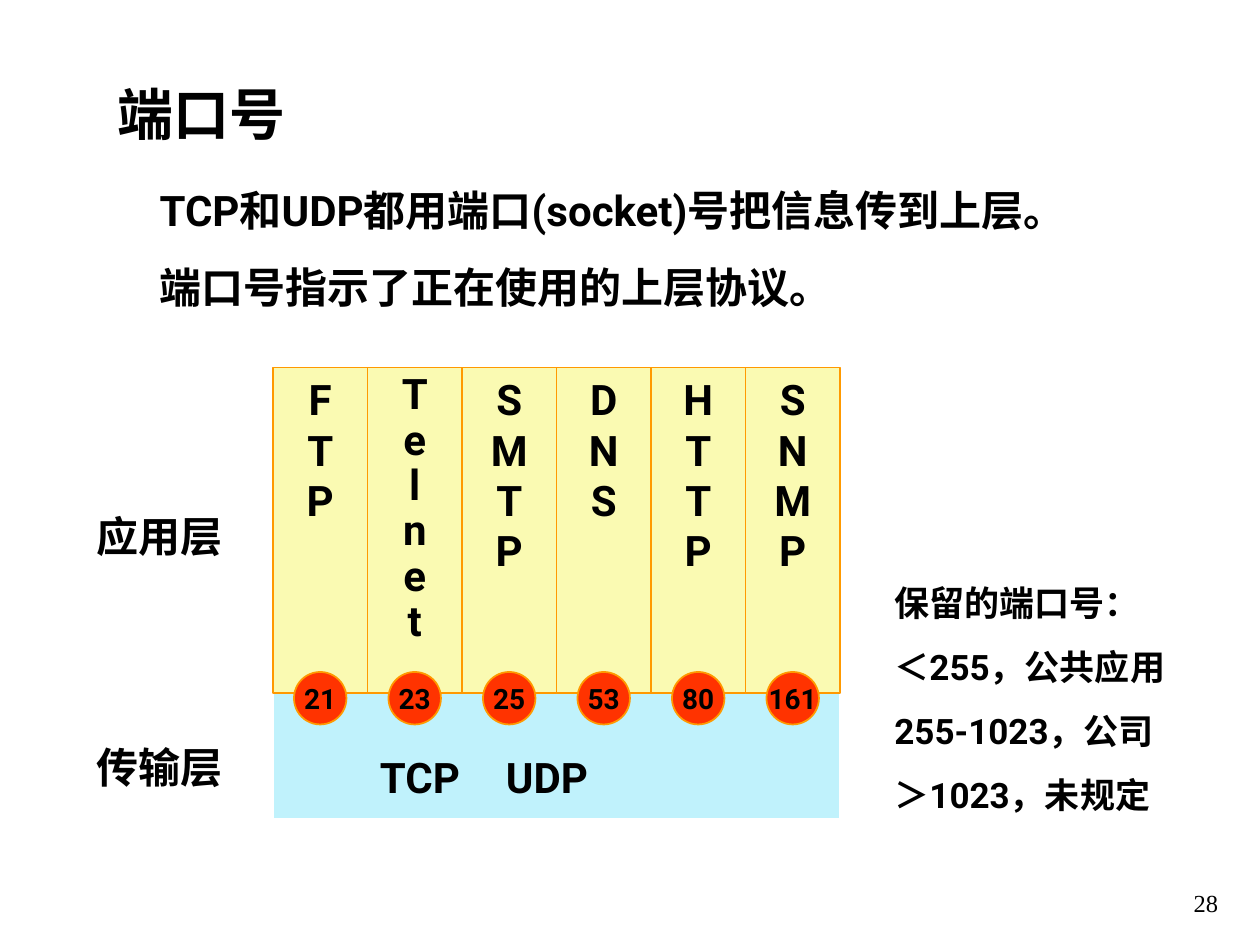
import dataclasses

import pptx
import pptx.dml.color
import pptx.enum.shapes
import pptx.enum.text
import pptx.oxml
import pptx.oxml.ns
import pptx.util

ALIGN = pptx.enum.text.PP_ALIGN
ANCHOR = pptx.enum.text.MSO_ANCHOR
SHAPE = pptx.enum.shapes.MSO_SHAPE
COLS, ROWS = 120, 90


@dataclasses.dataclass(frozen=True)
class Theme:
    font: str = "Roboto"
    number_font: str = "Times New Roman"
    ink: str = "000000"
    paper: str = "FFFFFF"
    band: str = "C0F2FC"
    column: str = "FAFAB2"
    edge: str = "FF9900"
    port: str = "FF3300"
    title: int = 32
    body: int = 24
    note: int = 20
    badge: int = 16
    number: int = 14


THEME = Theme()
SERVICES = [("FTP", 21), ("Telnet", 23), ("SMTP", 25),
            ("DNS", 53), ("HTTP", 80), ("SNMP", 161)]
RESERVED = ["保留的端口号：", "＜255，公共应用", "255-1023，公司", "＞1023，未规定"]


def rgb(value):
    return pptx.dml.color.RGBColor.from_string(value)


def grid(prs, col, row, cols, rows):
    dx, dy = prs.slide_width / COLS, prs.slide_height / ROWS
    return [round(v) for v in (col * dx, row * dy, cols * dx, rows * dy)]


def write(s, lines, size=THEME.body, font=THEME.font, bold=True, align=ALIGN.LEFT,
          anchor=ANCHOR.TOP, wrap=True, gap=0, spacing=1.0, tab=None):
    tf = s.text_frame
    tf.auto_size = pptx.enum.text.MSO_AUTO_SIZE.NONE
    tf.word_wrap = wrap
    tf.vertical_anchor = anchor
    for i, line in enumerate(lines):
        p = tf.add_paragraph() if i else tf.paragraphs[0]
        p.text = line
        p.alignment = align
        p.line_spacing = spacing
        p.space_before = pptx.util.Pt(gap if i else 0)
        pPr = p._p.get_or_add_pPr()
        pPr.set("marL", "0")
        pPr.set("indent", "0")
        ns = pptx.oxml.ns.nsdecls("a")
        pPr.append(pptx.oxml.parse_xml(f"<a:buNone {ns}/>"))
        if tab:
            pos = pptx.util.Inches(tab)
            pPr.append(pptx.oxml.parse_xml(
                f'<a:tabLst {ns}><a:tab pos="{pos}" algn="l"/></a:tabLst>'))
        for r in p.runs:
            r.font.name = font
            r.font.size = pptx.util.Pt(size)
            r.font.bold = bold
            r.font.color.rgb = rgb(THEME.ink)


def fill_placeholder(prs, s, box, lines, **fmt):
    s.left, s.top, s.width, s.height = grid(prs, *box)
    write(s, lines, **fmt)


def add_label(prs, slide, box, lines, **fmt):
    write(slide.shapes.add_textbox(*grid(prs, *box)), lines, **fmt)


def add_block(prs, slide, kind, box, fill, edge):
    s = slide.shapes.add_shape(kind, *grid(prs, *box))
    s.shadow.inherit = False
    s.fill.solid()
    s.fill.fore_color.rgb = rgb(fill)
    s.line.color.rgb = rgb(edge)
    s.line.width = pptx.util.Pt(1)
    return s


def add_services(prs, slide):
    left, width = 26, 9
    for i, (name, _) in enumerate(SERVICES):
        s = add_block(prs, slide, SHAPE.RECTANGLE, (left + i * width, 35, width, 31),
                      THEME.column, THEME.edge)
        write(s, name, align=ALIGN.CENTER, wrap=False,
              spacing=0.9 if len(name) > 4 else 1.0)
    for i, (_, port) in enumerate(SERVICES):
        s = add_block(prs, slide, SHAPE.OVAL, (left + 2 + i * width, 64, 5, 5),
                      THEME.port, THEME.edge)
        write(s, [str(port)], size=THEME.badge, align=ALIGN.CENTER,
              anchor=ANCHOR.MIDDLE, wrap=False)


def main():
    prs = pptx.Presentation()
    prs.slide_width = pptx.util.Inches(10)
    prs.slide_height = pptx.util.Inches(7.5)
    slide = prs.slides.add_slide(prs.slide_layouts[1])
    fill_placeholder(prs, slide.shapes.title, (10, 7, 99, 7.7), ["端口号"],
                     size=THEME.title)
    fill_placeholder(prs, slide.placeholders[1], (14, 17, 95, 13.3),
                     ["TCP和UDP都用端口(socket)号把信息传到上层。",
                      "端口号指示了正在使用的上层协议。"], gap=15)
    add_block(prs, slide, SHAPE.RECTANGLE, (26, 66, 54, 12), THEME.band, THEME.paper)
    add_services(prs, slide)
    add_label(prs, slide, (35, 71, 40, 6), ["TCP\tUDP"], tab=1.96)
    for row, layer in ((48, "应用层"), (70, "传输层")):
        add_label(prs, slide, (8, row, 15, 6), [layer])
    add_label(prs, slide, (84, 54.8, 32, 23.5), RESERVED, size=THEME.note, gap=12.5)
    add_label(prs, slide, (109, 84, 8.2, 6), ["28"], size=THEME.number,
              font=THEME.number_font, bold=False, align=ALIGN.RIGHT)
    prs.save("out.pptx")


if __name__ == "__main__":
    main()
